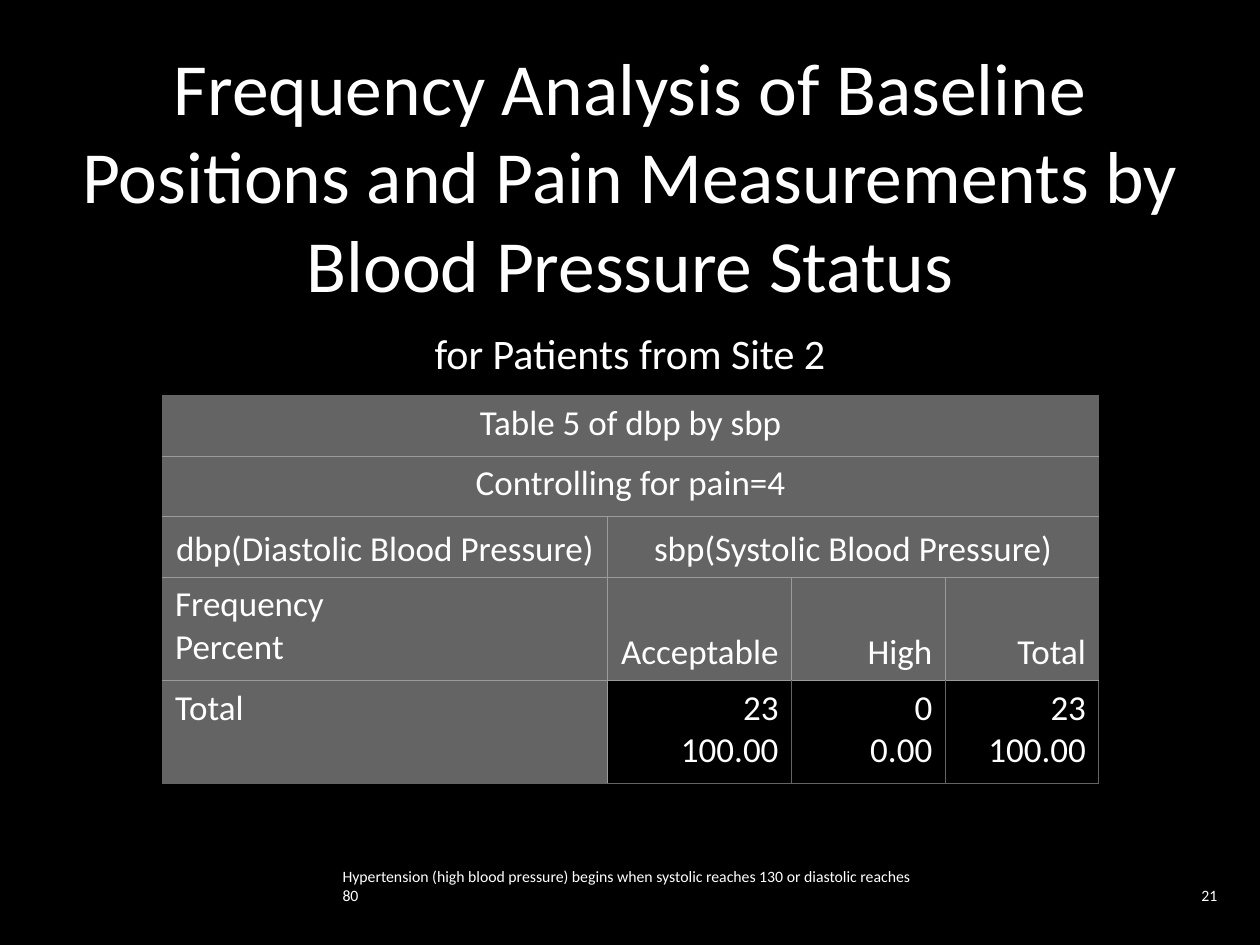
from dataclasses import dataclass
from lxml.etree import SubElement
from pptx import Presentation
from pptx.dml.color import RGBColor
from pptx.enum.text import MSO_ANCHOR, MSO_AUTO_SIZE, PP_ALIGN
from pptx.oxml.ns import qn
from pptx.util import Inches, Pt


@dataclass(frozen=True)
class Theme:
    font: str = "Calibri"
    background: str = "000000"
    text: str = "FFFFFF"
    header: str = "646464"
    inner_line: str = "9B9B9B"
    title_size: int = 42
    subtitle_size: int = 24
    table_size: int = 20
    footer_size: int = 9
    line_width: float = 0.5


THEME = Theme()
LEFT, CENTER, RIGHT = PP_ALIGN.LEFT, PP_ALIGN.CENTER, PP_ALIGN.RIGHT
TOP, MIDDLE, BOTTOM = MSO_ANCHOR.TOP, MSO_ANCHOR.MIDDLE, MSO_ANCHOR.BOTTOM

COLUMN_WIDTHS = (3.53, 1.46, 1.22, 1.22)
ROW_HEIGHTS = (0.48, 0.48, 0.48, 0.82, 0.82)

# Each cell: text, alignment, anchor, columns spanned
TABLE_ROWS = (
    (("Table\u00a05\u00a0of\u00a0dbp\u00a0by\u00a0sbp", CENTER, TOP, 4),),
    (("Controlling\u00a0for\u00a0pain=4", CENTER, TOP, 4),),
    (("dbp(Diastolic Blood Pressure)", CENTER, BOTTOM, 1),
     ("sbp(Systolic Blood Pressure)", CENTER, BOTTOM, 3)),
    (("Frequency\vPercent", LEFT, TOP, 1), ("Acceptable", RIGHT, BOTTOM, 1),
     ("High", RIGHT, BOTTOM, 1), ("Total", RIGHT, BOTTOM, 1)),
    (("Total", LEFT, TOP, 1), ("23\v100.00", RIGHT, TOP, 1),
     ("0\v0.00", RIGHT, TOP, 1), ("23\v100.00", RIGHT, TOP, 1)),
)


def write(frame, text, size, align):
    frame.text = text
    for paragraph in frame.paragraphs:
        paragraph.alignment = align
        for run in paragraph.runs:
            run.font.name = THEME.font
            run.font.size = Pt(size)
            run.font.color.rgb = RGBColor.from_string(THEME.text)


def fill_frame(holder, text, size, align):
    frame = holder.text_frame
    frame.word_wrap = True
    frame.auto_size = MSO_AUTO_SIZE.NONE
    frame.vertical_anchor = MIDDLE
    write(frame, text, size, align)


def add_title(slide, text, box):
    title = slide.shapes.title
    title.left, title.top, title.width, title.height = map(Inches, box)
    fill_frame(title, text, THEME.title_size, CENTER)


def add_text(slide, text, box, size, align):
    fill_frame(slide.shapes.add_textbox(*map(Inches, box)), text, size, align)


def draw_border(cell, side, color):
    line = SubElement(cell._tc.get_or_add_tcPr(), qn(f"a:ln{side}"),
                      w=str(Pt(THEME.line_width)))
    SubElement(SubElement(line, qn("a:solidFill")), qn("a:srgbClr"), val=color)


def style_cell(table, row, column):
    """Light lines lie between cells that touch a header; the rest are dark."""
    cell = table.cell(row, column)
    last_row, last_column = len(ROW_HEIGHTS) - 1, len(COLUMN_WIDTHS) - 1
    is_header = row < last_row or column == 0
    next_is_separate = (column < last_column
                        and not table.cell(row, column + 1).is_spanned)
    light_sides = {
        "L": column > 0 and not cell.is_spanned and (is_header or column == 1),
        "R": next_is_separate and is_header,
        "T": row > 0,
        "B": row < last_row,
    }
    for side, light in light_sides.items():
        draw_border(cell, side, THEME.inner_line if light else THEME.header)
    if is_header:
        cell.fill.solid()
        cell.fill.fore_color.rgb = RGBColor.from_string(THEME.header)
    else:
        cell.fill.background()


def add_frequency_table(slide, left, top):
    table = slide.shapes.add_table(
        len(ROW_HEIGHTS), len(COLUMN_WIDTHS), Inches(left), Inches(top),
        Inches(sum(COLUMN_WIDTHS)), Inches(sum(ROW_HEIGHTS))).table
    table.first_row = table.horz_banding = False
    for column, width in zip(table.columns, COLUMN_WIDTHS):
        column.width = Inches(width)
    for row, height in zip(table.rows, ROW_HEIGHTS):
        row.height = Inches(height)

    # Text and merged cells
    for row, entries in enumerate(TABLE_ROWS):
        column = 0
        for text, align, anchor, span in entries:
            cell = table.cell(row, column)
            if span > 1:
                cell.merge(table.cell(row, column + span - 1))
            cell.vertical_anchor = anchor
            write(cell.text_frame, text, THEME.table_size, align)
            column += span

    # Borders and fills
    for row in range(len(ROW_HEIGHTS)):
        for column in range(len(COLUMN_WIDTHS)):
            style_cell(table, row, column)


def main():
    deck = Presentation()
    deck.slide_width, deck.slide_height = Inches(10), Inches(7.5)
    slide = deck.slides.add_slide(deck.slide_layouts[5])
    slide.background.fill.solid()
    slide.background.fill.fore_color.rgb = RGBColor.from_string(THEME.background)

    # Headings
    add_title(slide, "Frequency Analysis of Baseline Positions and Pain "
              "Measurements by Blood Pressure Status", (0.25, 0.25, 9.5, 2.27))
    add_text(slide, "for Patients from Site 2", (0.25, 2.52, 9.5, 0.55),
             THEME.subtitle_size, CENTER)

    # Frequencies
    add_frequency_table(slide, 1.29, 3.14)

    # Footer
    add_text(slide, "Hypertension (high blood pressure) begins when systolic "
             "reaches 130 or diastolic reaches 80", (2.62, 6.81, 4.75, 0.44),
             THEME.footer_size, LEFT)
    add_text(slide, "21", (7.38, 6.96, 2.38, 0.29), THEME.footer_size, RIGHT)

    deck.save("out.pptx")


main()
